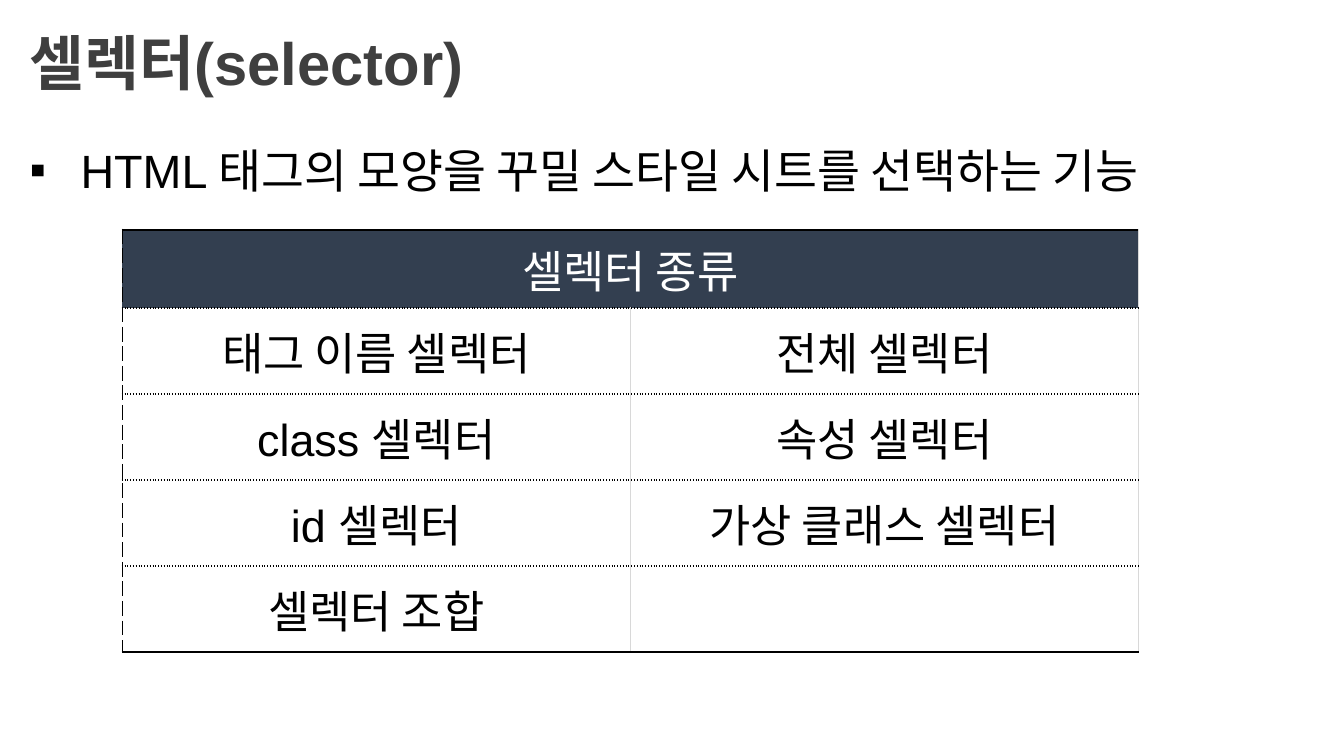
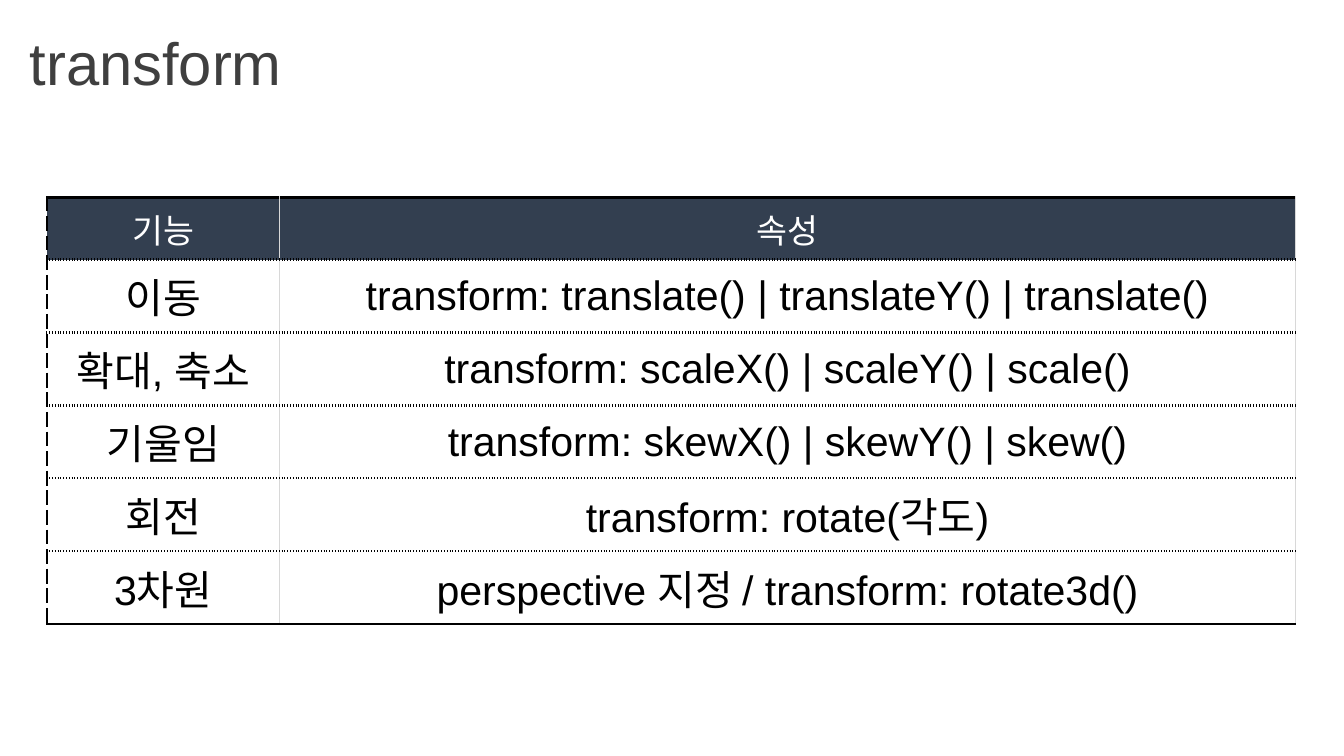
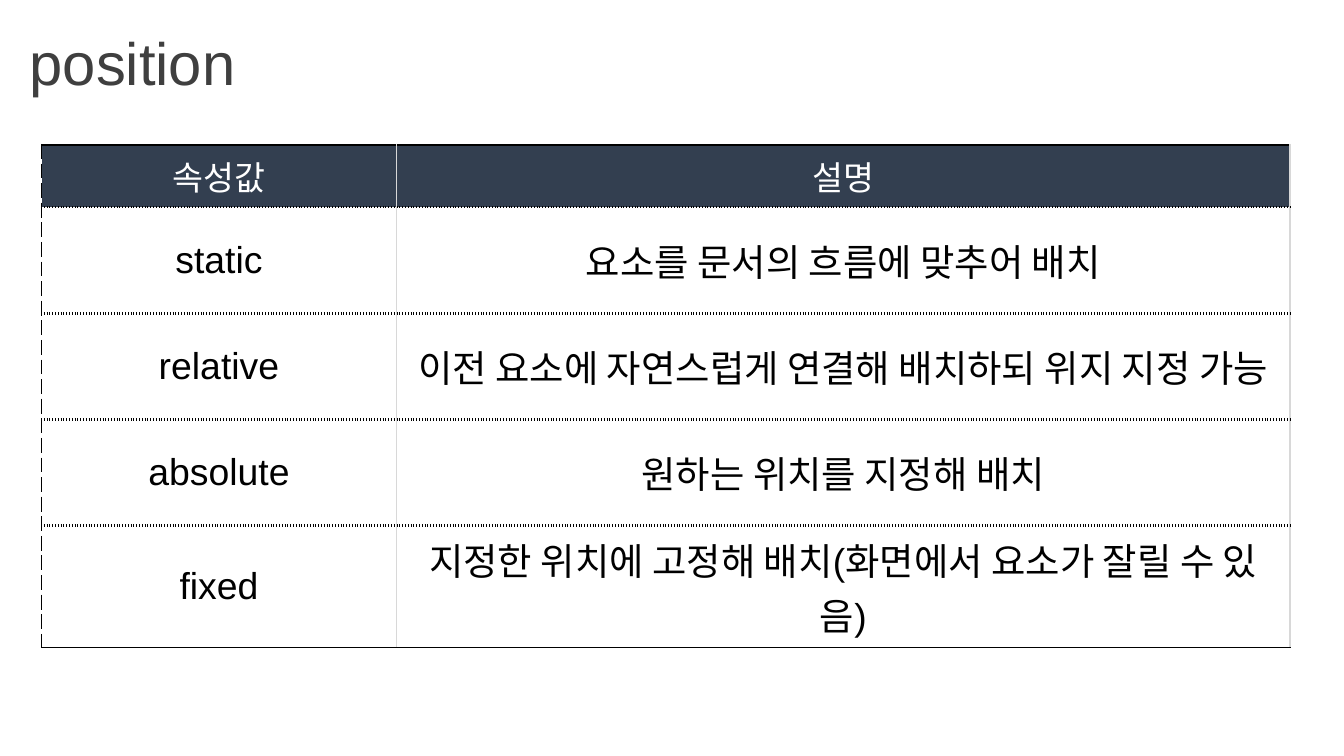
"""Build three slides on CSS selectors, transform and position."""
from dataclasses import dataclass

from lxml import etree
from pptx import Presentation
from pptx import util as u
from pptx.dml.color import RGBColor
from pptx.enum import text
from pptx.oxml.ns import qn

PX = 4572


@dataclass(frozen=True)
class Theme:
    font: str = "Arial"
    title: str = "3F3F3F"
    ink: str = "000000"
    header: str = "333F50"
    header_ink: str = "FFFFFF"
    rule: str = "D8D8D8"
    title_pt: int = 32
    list_pt: int = 25


T = Theme()
DASH = (T.ink, 0.75, "dash")
DOT = (T.ink, 1.5, "sysDot")
TOP = (T.ink, 1.5, "solid")
BOTTOM = (T.ink, 1, "solid")
SIDE = (T.rule, 1, "solid")

SLIDES = [
    dict(title="셀렉터(selector)", bold=True,
         bullets=["HTML 태그의 모양을 꾸밀 스타일 시트를 선택하는 기능"],
         at=(182, 342), cols=(756, 756), head_h=76, row_h=128,
         head_pt=24, body_pt=24,
         rows=[("셀렉터 종류", ""),
               ("태그 이름 셀렉터", "전체 셀렉터"),
               ("class 셀렉터", "속성 셀렉터"),
               ("id 셀렉터", "가상 클래스 셀렉터"),
               ("셀렉터 조합", "")]),
    dict(title="transform", bold=False, bullets=[],
         at=(70, 294), cols=(346, 1512), head_h=34, row_h=54,
         head_pt=18, body_pt=22,
         rows=[("기능", "속성"),
               ("이동", "transform: translate() | translateY() | translate()"),
               ("확대, 축소", "transform: scaleX() | scaleY() | scale()"),
               ("기울임", "transform: skewX() | skewY() | skew()"),
               ("회전", "transform: rotate(각도)"),
               ("3차원", "perspective 지정 / transform: rotate3d()")]),
    dict(title="position", bold=False, bullets=[],
         at=(62, 216), cols=(528, 1330), head_h=92, row_h=158,
         head_pt=18, body_pt=20,
         rows=[("속성값", "설명"),
               ("static", "요소를 문서의 흐름에 맞추어 배치"),
               ("relative", "이전 요소에 자연스럽게 연결해 배치하되 위지 지정 가능"),
               ("absolute", "원하는 위치를 지정해 배치"),
               ("fixed", "지정한 위치에 고정해 배치(화면에서 요소가 잘릴 수 있음)")]),
]


def add_run(p, words, size, color, bold=False):
    r = p.add_run()
    r.text = words
    r.font.name = T.font
    r.font.size = u.Pt(size)
    r.font.bold = bold
    r.font.color.rgb = RGBColor.from_string(color)


def add_border(cell, side, line):
    color, width, dash = line
    ln = etree.SubElement(cell._tc.get_or_add_tcPr(), qn(f"a:ln{side}"), w=str(u.Pt(width)))
    fill = etree.SubElement(ln, qn("a:solidFill"))
    etree.SubElement(fill, qn("a:srgbClr"), val=color)
    etree.SubElement(ln, qn("a:prstDash"), val=dash)


prs = Presentation()
prs.slide_width, prs.slide_height = 2000 * PX, 1125 * PX

for page in SLIDES:
    s = prs.slides.add_slide(prs.slide_layouts[1 if page["bullets"] else 5])

    sp = s.shapes.title
    sp.left, sp.top, sp.width, sp.height = [v * PX for v in (24, 28, 1938, 126)]
    tf = sp.text_frame
    tf.auto_size = text.MSO_AUTO_SIZE.NONE
    tf.vertical_anchor = text.MSO_ANCHOR.MIDDLE
    p = tf.paragraphs[0]
    p.alignment = text.PP_ALIGN.LEFT
    add_run(p, page["title"], T.title_pt, T.title, page["bold"])

    for item in page["bullets"]:
        sp = s.placeholders[1]
        sp.left, sp.top, sp.width, sp.height = [v * PX for v in (24, 184, 1938, 866)]
        tf = sp.text_frame
        tf.auto_size = text.MSO_AUTO_SIZE.NONE
        p = tf.paragraphs[0]
        pPr = p._p.get_or_add_pPr()
        pPr.set("marL", str(76 * PX))
        pPr.set("indent", str(-76 * PX))
        color = etree.SubElement(pPr, qn("a:buClr"))
        etree.SubElement(color, qn("a:srgbClr"), val=T.ink)
        etree.SubElement(pPr, qn("a:buFont"), typeface=T.font)
        etree.SubElement(pPr, qn("a:buChar"), char="▪")
        p.line_spacing = 1.2
        p.space_before = u.Pt(0)
        add_run(p, item, T.list_pt, T.ink)

    rows, cols = page["rows"], page["cols"]
    last = len(rows) - 1
    heights = [page["head_h"]] + [page["row_h"]] * last
    x, y = page["at"]
    table = s.shapes.add_table(len(rows), len(cols), x * PX, y * PX,
                               sum(cols) * PX, sum(heights) * PX).table
    table.horz_banding = False
    table.first_row = False
    for col, width in zip(table.columns, cols):
        col.width = width * PX
    for i, (row, height) in enumerate(zip(table.rows, heights)):
        row.height = height * PX
        for j, cell in enumerate(row.cells):
            add_border(cell, "L", SIDE if j else DASH)
            add_border(cell, "R", SIDE)
            add_border(cell, "T", DOT if i else TOP)
            add_border(cell, "B", BOTTOM if i == last else DOT)
            cell.vertical_anchor = text.MSO_ANCHOR.MIDDLE
            if i:
                cell.fill.background()
                size, color = page["body_pt"], T.ink
            else:
                cell.fill.solid()
                cell.fill.fore_color.rgb = RGBColor.from_string(T.header)
                size, color = page["head_pt"], T.header_ink
            if rows[i][j]:
                p = cell.text_frame.paragraphs[0]
                p.alignment = text.PP_ALIGN.CENTER
                add_run(p, rows[i][j], size, color)
    if not rows[0][1]:
        table.cell(0, 0).merge(table.cell(0, 1))

prs.save("out.pptx")
